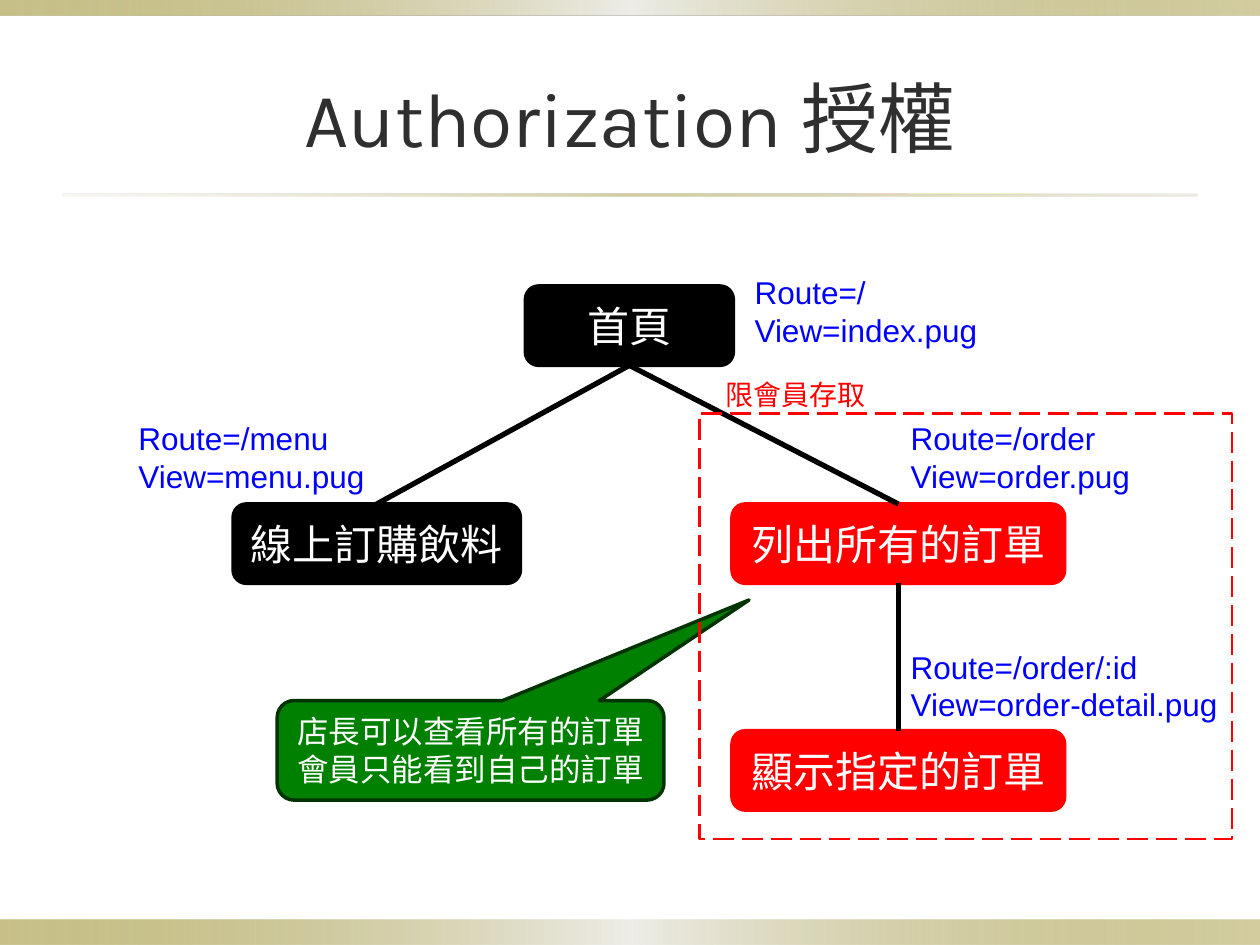
from dataclasses import dataclass

from lxml.etree import SubElement
from pptx import Presentation
from pptx.dml.color import RGBColor
from pptx.enum.dml import MSO_LINE
from pptx.enum.shapes import MSO_CONNECTOR, MSO_SHAPE
from pptx.enum.text import MSO_ANCHOR, MSO_AUTO_SIZE, PP_ALIGN
from pptx.oxml.ns import qn
from pptx.util import Inches, Pt


@dataclass(frozen=True)
class Theme:
    heading_font: str = "Karla"
    body_font: str = "Arial"
    title: str = "2F2F2F"
    public: str = "000000"
    members: str = "FF0000"
    route: str = "0000FF"
    callout: str = "008000"
    callout_line: str = "003300"
    light: str = "FFFFFF"
    title_size: int = 44
    node_size: int = 24
    text_size: int = 18
    note_size: int = 16


THEME = Theme()

TITLE = "Authorization 授權"
TITLE_BOX = (0.5, 0.3, 9, 1.25)

# Gradient stops: position %, colour, opacity %
BAND_STOPS = [(0, "918415", 50), (50, "EEEDE8", 100), (100, "918415", 40)]
RULE_STOPS = [(0, "DCD9CC", 20), (50, "918415", 40), (100, "DCD9CC", 50)]
DECORATIONS = [
    ((0, 7.3, 10, 0.2), BAND_STOPS),
    ((0, 0, 10, 0.12), BAND_STOPS),
    ((0.5, 1.54, 9, 0.02), RULE_STOPS),
]

NODE_HEIGHT = 0.65 - 0.02
# Pages: name -> text, left, top, width, colour
PAGES = {
    "home": ("首頁", 4.17, 2.27, 1.65, THEME.public),
    "menu": ("線上訂購飲料", 1.85, 4, 2.28, THEME.public),
    "orders": ("列出所有的訂單", 5.81, 4, 2.64, THEME.members),
    "detail": ("顯示指定的訂單", 5.81, 5.8, 2.64, THEME.members),
}
LINKS = [("home", "menu"), ("home", "orders"), ("orders", "detail")]

ROUTES = [
    ("Route=/\nView=index.pug", (5.89, 2.12, 1.99, 0.71)),
    ("Route=/menu\nView=menu.pug", (1, 3.28, 2.01, 0.71)),
    ("Route=/order\nView=order.pug", (7.13, 3.28, 1.96, 0.71)),
    ("Route=/order/:id\nView=order-detail.pug", (7.13, 5.09, 2.66, 0.71)),
]

CALLOUT = "店長可以查看所有的訂單\n會員只能看到自己的訂單"
CALLOUT_BOX = (2.2, 5.56, 3.07, 0.79)
CALLOUT_POINTER = (0.72, -1.51, 0.17)

MEMBERS_NOTE = "限會員存取"
MEMBERS_NOTE_BOX = (5.66, 2.95, 1.32, 0.37)
MEMBERS_AREA = (5.55, 3.28, 4.23, 3.38)


def rgb(color):
    return RGBColor.from_string(color)


def write(shape, text, size, color, font=THEME.body_font, align=PP_ALIGN.CENTER):
    frame = shape.text_frame
    frame.text = text
    frame.word_wrap = False
    for paragraph in frame.paragraphs:
        paragraph.alignment = align
        for run in paragraph.runs:
            run.font.size = Pt(size)
            run.font.name = font
            run.font.color.rgb = rgb(color)


def add_shape(slide, kind, box, fill=None, line=None, line_width=2):
    shape = slide.shapes.add_shape(kind, *map(Inches, box))
    shape.shadow.inherit = False
    if fill:
        shape.fill.solid()
        shape.fill.fore_color.rgb = rgb(fill)
    else:
        shape.fill.background()
    if line:
        shape.line.color.rgb = rgb(line)
        shape.line.width = Pt(line_width)
    else:
        shape.line.fill.background()
    return shape


def add_gradient_bar(slide, box, stops):
    bar = add_shape(slide, MSO_SHAPE.RECTANGLE, box)
    bar.fill.gradient()
    bar.fill.gradient_angle = 0
    stop_list = bar._element.spPr.find(qn("a:gradFill")).find(qn("a:gsLst"))
    for old_stop in list(stop_list):
        stop_list.remove(old_stop)
    for position, color, opacity in stops:
        stop = SubElement(stop_list, qn("a:gs"), pos=str(position * 1000))
        fill = SubElement(stop, qn("a:srgbClr"), val=color)
        SubElement(fill, qn("a:alpha"), val=str(opacity * 1000))


def add_label(slide, text, box, size, color):
    label = slide.shapes.add_textbox(*map(Inches, box))
    write(label, text, size, color, align=PP_ALIGN.LEFT)
    label.text_frame.auto_size = MSO_AUTO_SIZE.SHAPE_TO_FIT_TEXT


def add_link(slide, parent, child):
    """Join the bottom centre of the parent page to the top centre of its child."""
    _, left, top, width, _ = PAGES[parent]
    _, child_left, child_top, child_width, _ = PAGES[child]
    ends = (left + width / 2, top + NODE_HEIGHT,
            child_left + child_width / 2, child_top)
    link = slide.shapes.add_connector(MSO_CONNECTOR.STRAIGHT, *map(Inches, ends))
    link.line.color.rgb = rgb(THEME.public)
    link.line.width = Pt(3)
    SubElement(link._element.spPr, qn("a:effectLst"))


def main():
    presentation = Presentation()
    presentation.slide_width, presentation.slide_height = Inches(10), Inches(7.5)
    slide = presentation.slides.add_slide(presentation.slide_layouts[6])

    for box, stops in DECORATIONS:
        add_gradient_bar(slide, box, stops)

    title = slide.shapes.add_textbox(*map(Inches, TITLE_BOX))
    write(title, TITLE, THEME.title_size, THEME.title, THEME.heading_font)
    title.text_frame.word_wrap = True
    title.text_frame.vertical_anchor = MSO_ANCHOR.MIDDLE

    for text, left, top, width, color in PAGES.values():
        node = add_shape(slide, MSO_SHAPE.ROUNDED_RECTANGLE,
                         (left, top, width, NODE_HEIGHT), color, color)
        write(node, text, THEME.node_size, THEME.light)
    for parent, child in LINKS:
        add_link(slide, parent, child)
    for text, box in ROUTES:
        add_label(slide, text, box, THEME.text_size, THEME.route)

    callout = add_shape(slide, MSO_SHAPE.ROUNDED_RECTANGULAR_CALLOUT,
                        CALLOUT_BOX, THEME.callout, THEME.callout_line)
    for index, value in enumerate(CALLOUT_POINTER):
        callout.adjustments[index] = value
    write(callout, CALLOUT, THEME.text_size, THEME.light, THEME.heading_font)

    area = add_shape(slide, MSO_SHAPE.RECTANGLE, MEMBERS_AREA,
                     line=THEME.members, line_width=1.5)
    area.line.dash_style = MSO_LINE.LONG_DASH
    add_label(slide, MEMBERS_NOTE, MEMBERS_NOTE_BOX, THEME.note_size, THEME.members)

    presentation.save("out.pptx")


if __name__ == "__main__":
    main()
